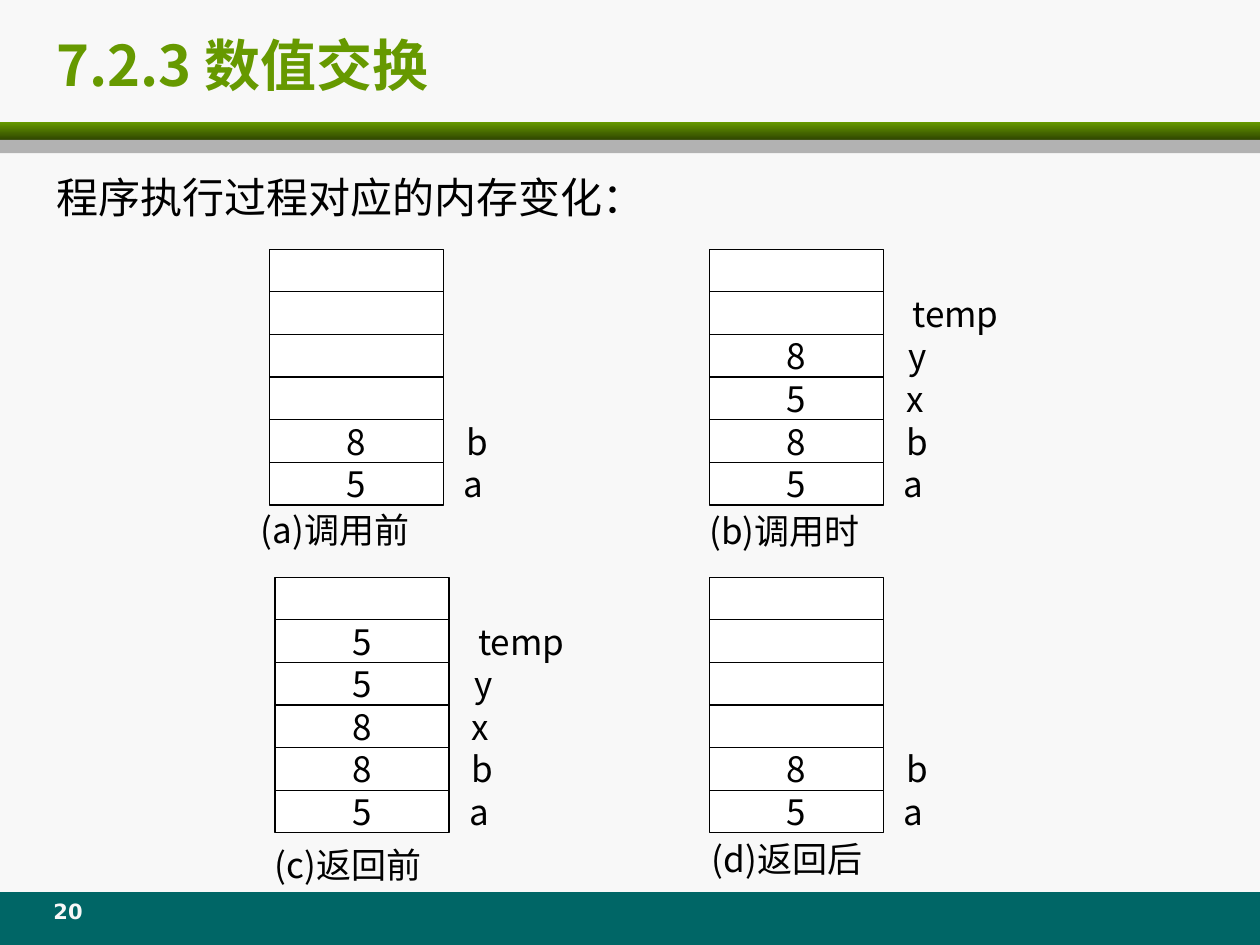
import lxml.etree
import pptx
import pptx.dml.color
import pptx.enum.shapes
import pptx.enum.text
import pptx.oxml.ns
import pptx.util

Pt = pptx.util.Pt
ALIGN = pptx.enum.text.PP_ALIGN
ANCHOR = pptx.enum.text.MSO_ANCHOR
RECTANGLE = pptx.enum.shapes.MSO_SHAPE.RECTANGLE

COLORS = {
    "page": "F8F8F8",
    "green": "669900",
    "dark_green": "2F4600",
    "gray": "B2B2B2",
    "teal": "006666",
    "cell": "FFFFFF",
    "ink": "000000",
}
CJK_FONT = "Noto Sans CJK SC"
NUMBER_FONT = "DejaVu Sans"

CELL_WIDTH = 99.4
ROW_HEIGHT = 24.36
TOP_ROW, BOTTOM_ROW = 142.4, 329.8

# Variable names by row, with the distance of each from the stack's left edge
ROW_NAMES = ["", "temp", "y", "x", "b", "a"]
LABEL_OFFSETS = {"temp": 116, "y": 114, "x": 112.5, "b": 112.5, "a": 111}

# Left, top, values from the top row down, caption and its (left, top, width, height)
STACKS = [
    (154, TOP_ROW, ["", "", "", "", "8", "5"], [],
     "(a)调用前", (149, 290.2, 109.4, 25.2)),
    (405.4, TOP_ROW, ["", "", "8", "5", "8", "5"], ["temp", "y", "x"],
     "(b)调用时", (405.4, 291.6, 112.3, 23)),
    (157.2, BOTTOM_ROW, ["", "5", "5", "8", "8", "5"], ["temp", "y", "x"],
     "(c)返回前", (157, 480.2, 112.3, 28)),
    (405.4, BOTTOM_ROW, ["", "", "", "", "8", "5"], [],
     "(d)返回后", (406.8, 478.8, 95.8, 23)),
]


def color(name):
    return pptx.dml.color.RGBColor.from_string(COLORS[name])


def write(shape, text, size, ink="ink", font=CJK_FONT, bold=False,
          align=ALIGN.LEFT, anchor=ANCHOR.MIDDLE, margins=(0, 0)):
    """Put one formatted line of text into a shape."""
    frame = shape.text_frame
    frame.word_wrap = True
    frame.vertical_anchor = anchor
    frame.margin_left = frame.margin_right = Pt(margins[0])
    frame.margin_top = frame.margin_bottom = Pt(margins[1])
    frame.text = text
    para = frame.paragraphs[0]
    para.alignment = align
    span = para.runs[0]
    span.font.size = Pt(size)
    span.font.bold = bold
    span.font.name = font
    span.font.color.rgb = color(ink)
    east_asian = lxml.etree.SubElement(
        span.font._element, pptx.oxml.ns.qn("a:ea"))
    east_asian.set("typeface", font)
    return para


def add_text(shapes, place, text, size, **style):
    box = shapes.add_textbox(*map(Pt, place))
    return write(box, text, size, **style)


def add_block(shapes, place, fill, outlined=False):
    block = shapes.add_shape(RECTANGLE, *map(Pt, place))
    block.shadow.inherit = False
    block.fill.solid()
    block.fill.fore_color.rgb = color(fill)
    if outlined:
        block.line.color.rgb = color("ink")
        block.line.width = Pt(0.75)
    else:
        block.line.fill.background()
    return block


def add_bands(page):
    add_block(page.shapes, (0, 509.8, 720, 30.2), "teal")
    band = add_block(page.shapes, (0, 69.8, 720, 10.2), "green")
    band.fill.gradient()
    band.fill.gradient_angle = 270
    for stop, position, name in zip(
            band.fill.gradient_stops, (0, 1), ("green", "dark_green")):
        stop.position = position
        stop.color.rgb = color(name)
    add_block(page.shapes, (0, 80, 720, 7.6), "gray")


def add_stack(page, left, top, values, extra_names, caption, caption_place):
    """Draw one memory stack with its variable names and caption."""
    shapes = page.shapes.add_group_shape().shapes
    shown_names = ["a", "b"] + extra_names
    for row, (value, name) in enumerate(zip(values, ROW_NAMES)):
        row_top = top + row * ROW_HEIGHT
        cell = add_block(shapes, (left, row_top, CELL_WIDTH, ROW_HEIGHT),
                         "cell", outlined=True)
        if value:
            write(cell, value, 20, align=ALIGN.CENTER)
        if name in shown_names:
            width = 56 if name == "temp" else 20
            add_text(shapes, (left + LABEL_OFFSETS[name], row_top, width, ROW_HEIGHT),
                     name, 20, align=ALIGN.JUSTIFY)
    add_text(shapes, caption_place, caption, 20, align=ALIGN.JUSTIFY)


def main():
    deck = pptx.Presentation()
    deck.slide_width, deck.slide_height = Pt(720), Pt(540)
    page = deck.slides.add_slide(deck.slide_layouts[6])
    page.background.fill.solid()
    page.background.fill.fore_color.rgb = color("page")

    # Frame, title and lead-in
    add_bands(page)
    add_text(page.shapes, (25.2, 15.1, 627.8, 42.5), "7.2.3 数值交换", 32,
             ink="green", bold=True, margins=(7.2, 3.6))
    lead = add_text(page.shapes, (25.2, 94.3, 657.4, 408.2),
                    "程序执行过程对应的内存变化：", 24,
                    anchor=ANCHOR.TOP, margins=(7.2, 3.6))
    lead.space_before = Pt(6)

    # Memory stacks
    for stack in STACKS:
        add_stack(page, *stack)

    # Page number
    add_text(page.shapes, (18, 509.8, 41.8, 23.8), "20", 12, ink="page",
             font=NUMBER_FONT, bold=True, align=ALIGN.CENTER,
             anchor=ANCHOR.TOP, margins=(7.2, 3.6))

    deck.save("out.pptx")


if __name__ == "__main__":
    main()
